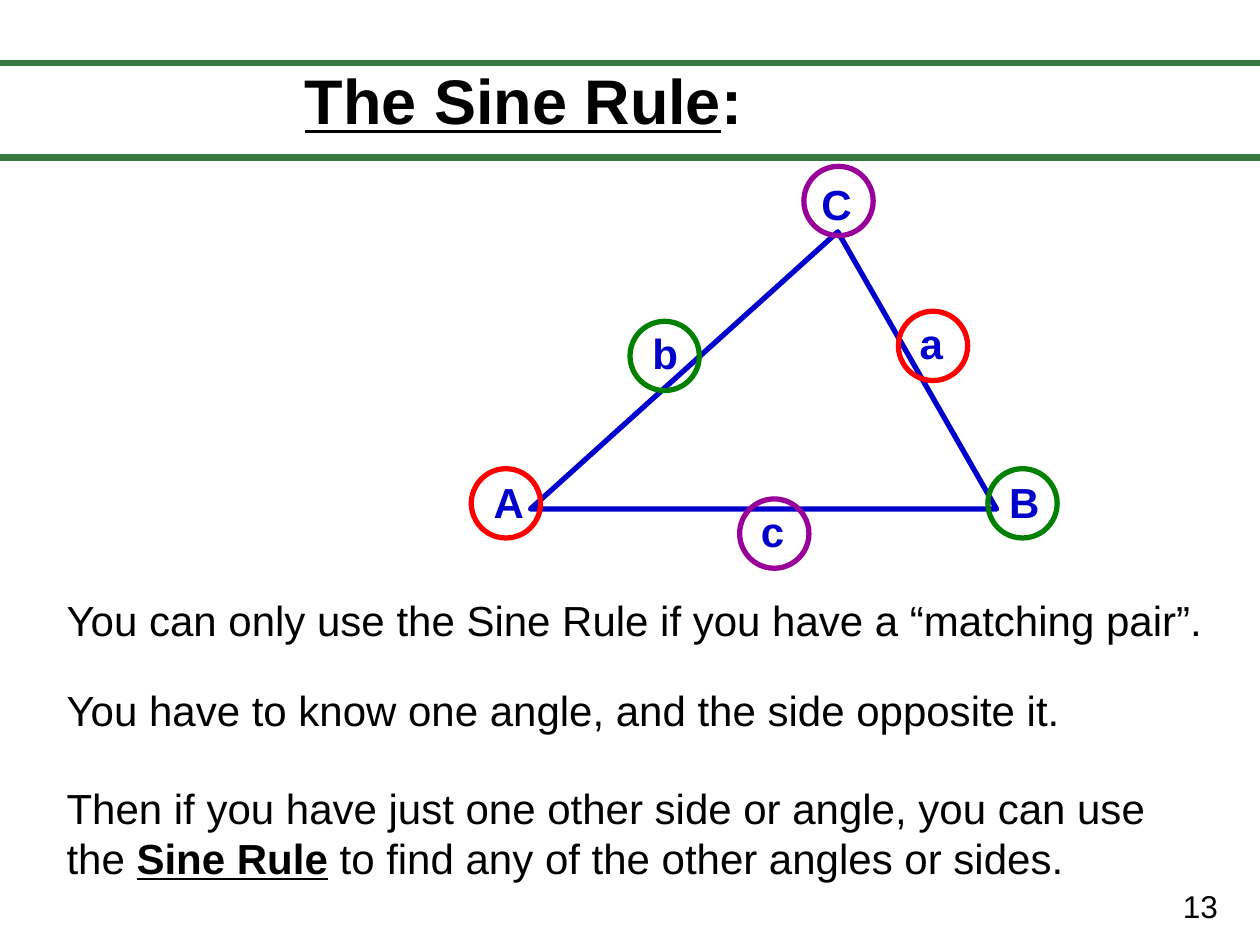
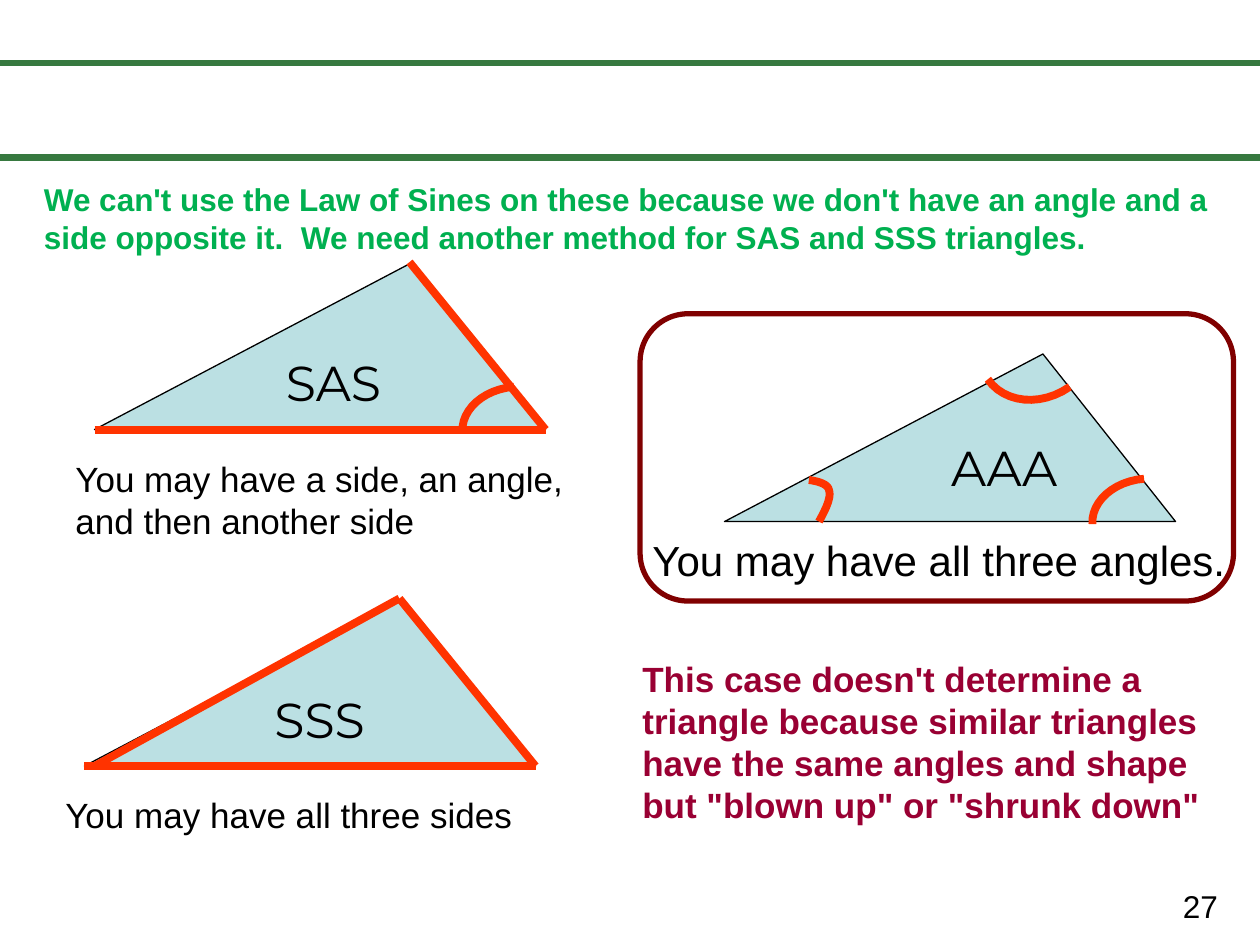
"""Builds two slides on when the Sine Rule can be used."""
from pptx import Presentation
from pptx.dml.color import RGBColor
from pptx.enum import shapes, text
from pptx.oxml.ns import qn
from pptx.util import Inches, Pt

WIDTH, HEIGHT = 10, 7.5
BLACK, BAND, BLUE, CORAL = "000000", "377940", "0000CC", "FF3300"
RED, GREEN, PURPLE = "FF0000", "008000", "990099"
PALE, MAROON, WINE, LEAF = "BBE0E3", "800000", "990033", "00B050"
BAND_TOPS = (HEIGHT / 15, HEIGHT / 6)

TITLE = [("The Sine Rule", "bu"), (":", "b")]
CORNERS = [(4.21, 4.04), (7.91, 4.04), (6.65, 1.84)]
CIRCLE = 0.55
# letter, letter box position, circle position, circle colour
LETTERS = [
    ("A", (3.82, 3.73), (3.74, 3.72), RED),
    ("a", (7.2, 2.47), (7.13, 2.47), RED),
    ("B", (7.91, 3.73), (7.84, 3.72), GREEN),
    ("b", (5.08, 2.55), (5, 2.55), GREEN),
    ("C", (6.42, 1.37), (6.38, 1.32), PURPLE),
    ("c", (5.94, 3.96), (5.87, 3.96), PURPLE),
]
STATEMENTS = [
    (4.67, 0.5, [("You can only use the Sine Rule if you have a “matching pair”.", "")]),
    (5.38, 0.5, [("You have to know one angle, and the side opposite it.", "")]),
    (6.16, 0.9, [("Then if you have just one other side or angle, you can use the ", ""),
                 ("Sine Rule", "bu"),
                 (" to find any of the other angles or sides.", "")]),
]

TRIANGLE_W, TRIANGLE_H, APEX = 3.58, 1.33, 0.706
SIDES = {
    "base": ((0, TRIANGLE_H), (TRIANGLE_W, TRIANGLE_H)),
    "right": ((2.5, 0), (TRIANGLE_W, TRIANGLE_H)),
    "left": ((0.08, TRIANGLE_H), (2.5, 0)),
}
ANGLES = {
    "right": [(2.92, 1.35), (2.91, 1.17), (3.09, 1.01), (3.33, 0.99)],
    "top": [(2.74, 0.26), (2.51, 0.42), (2.22, 0.39), (2.09, 0.2)],
    "left": [(0.67, 1), (0.74, 1.01), (0.82, 1.03), (0.83, 1.08),
             (0.85, 1.14), (0.8, 1.24), (0.75, 1.33)],
}
CASES = [
    dict(name="SAS", at=(0.75, 2.08), name_offset=(1.42, 0.67),
         sides=["base", "right"], angles=["right"],
         caption="You may have a side, an angle, and then another side",
         caption_box=(-0.25, 1.5, 4.42, 0.77), size=20),
    dict(name="AAA", at=(5.75, 2.81), name_offset=(1.7, 0.61),
         sides=[], angles=["right", "top", "left"],
         caption="You may have all three angles.",
         caption_box=(-0.67, 1.38, 4.92, 0.5), size=24),
    dict(name="SSS", at=(0.67, 4.75), name_offset=(1.41, 0.67),
         sides=["base", "right", "left"], angles=[],
         caption="You may have all three sides",
         caption_box=(-0.25, 1.5, 4.42, 0.44), size=20),
]
REMARKS = [
    ("We can't use the Law of Sines on these because we don't have an angle and a side "
     "opposite it.  We need another method for SAS and SSS triangles.",
     (0.25, 1.38, 9.58, 0.71), 18, LEAF),
    ("This case doesn't determine a triangle because similar triangles have the same "
     "angles and shape but \"blown up\" or \"shrunk down\"",
     (5, 5.17, 5, 1.45), 20, WINE),
]
FRAME = (5.08, 2.49, 4.71, 2.28)


def rgb(colour):
    return RGBColor.from_string(colour)


def inches(values):
    return [Inches(value) for value in values]


def shifted(point, origin):
    return point[0] + origin[0], point[1] + origin[1]


def write(frame, pieces, size, colour=BLACK, font="Arial"):
    frame.word_wrap = True
    frame.auto_size = text.MSO_AUTO_SIZE.NONE
    frame.vertical_anchor = text.MSO_ANCHOR.TOP
    paragraph = frame.paragraphs[0]
    paragraph.alignment = text.PP_ALIGN.LEFT
    paragraph.font.name, paragraph.font.size = font, Pt(size)
    paragraph.font.color.rgb = rgb(colour)
    for words, style in pieces:
        run = paragraph.add_run()
        run.text = words
        run.font.bold = "b" in style
        run.font.underline = "u" in style


def add_text(slide, box, words, size, colour=BLACK, style="", font="Arial"):
    pieces = [(words, style)] if isinstance(words, str) else words
    write(slide.shapes.add_textbox(*inches(box)).text_frame, pieces, size, colour, font)


def paint(shape, line, weight, fill=None):
    shape.shadow.inherit = False
    if fill:
        shape.fill.solid()
        shape.fill.fore_color.rgb = rgb(fill)
    else:
        shape.fill.background()
    shape.line.color.rgb = rgb(line)
    shape.line.width = Pt(weight)


def add_outline(slide, points, line, weight, close):
    corners = [inches(point) for point in points]
    builder = slide.shapes.build_freeform(*corners[0])
    builder.add_line_segments(corners[1:], close=close)
    outline = builder.convert_to_shape()
    paint(outline, line, weight)
    return outline


def add_line(slide, start, end, colour, weight):
    line = slide.shapes.add_connector(
        shapes.MSO_CONNECTOR.STRAIGHT, *inches(start), *inches(end))
    line.line.color.rgb = rgb(colour)
    line.line.width = Pt(weight)
    properties = line._element.spPr
    properties.append(properties.makeelement(qn("a:effectLst"), {}))


def curve(controls, steps=12):
    points = [controls[0]]
    for first in range(0, len(controls) - 1, 3):
        bend = controls[first:first + 4]
        for step in range(1, steps + 1):
            t = step / steps
            weights = ((1 - t) ** 3, 3 * t * (1 - t) ** 2, 3 * t * t * (1 - t), t ** 3)
            points.append(tuple(sum(w * p[axis] for w, p in zip(weights, bend))
                                for axis in (0, 1)))
    return points


def start_slide(deck, layout, number):
    slide = deck.slides.add_slide(deck.slide_layouts[layout])
    add_text(slide, (9.29, 6.99, 0.71, 0.4), number, 18)
    for top in BAND_TOPS:
        add_line(slide, (0, top), (WIDTH, top), BAND, 4)
    return slide


def add_rule_slide(deck):
    slide = start_slide(deck, 5, "13")
    title = slide.shapes.title
    title.left, title.top, title.width, title.height = inches((2.32, 0.44, 5.04, 0.7))
    write(title.text_frame, TITLE, 36)
    triangle = add_outline(slide, CORNERS, BLUE, 3, True)
    outline = triangle.line._get_or_add_ln()
    outline.append(outline.makeelement(qn("a:round"), {}))
    for letter, letter_at, circle_at, colour in LETTERS:
        add_text(slide, (*letter_at, 0.55, 0.5), letter, 24, BLUE, "b")
        circle = slide.shapes.add_shape(
            shapes.MSO_SHAPE.OVAL, *inches((*circle_at, CIRCLE, CIRCLE)))
        paint(circle, colour, 3)
    for top, height, pieces in STATEMENTS:
        add_text(slide, (0.43, top, 9.29, height), pieces, 24)


def add_case(slide, case):
    origin = case["at"]
    triangle = slide.shapes.add_shape(
        shapes.MSO_SHAPE.ISOSCELES_TRIANGLE, *inches((*origin, TRIANGLE_W, TRIANGLE_H)))
    triangle.adjustments[0] = APEX
    paint(triangle, BLACK, 0.75, PALE)
    for side in case["sides"]:
        start, end = (shifted(point, origin) for point in SIDES[side])
        add_line(slide, start, end, CORAL, 4.5)
    for angle in case["angles"]:
        arc = [shifted(point, origin) for point in curve(ANGLES[angle])]
        add_outline(slide, arc, CORAL, 4.5, False)
    add_text(slide, (*shifted(case["name_offset"], origin), 1.25, 0.57),
             case["name"], 28, font="Montserrat")
    left, top, width, height = case["caption_box"]
    add_text(slide, (*shifted((left, top), origin), width, height),
             case["caption"], case["size"])


def add_cases_slide(deck):
    slide = start_slide(deck, 6, "27")
    for case in CASES:
        add_case(slide, case)
    for words, box, size, colour in REMARKS:
        add_text(slide, box, words, size, colour, "b")
    frame = slide.shapes.add_shape(shapes.MSO_SHAPE.ROUNDED_RECTANGLE, *inches(FRAME))
    paint(frame, MAROON, 3)


def main():
    deck = Presentation()
    deck.slide_width, deck.slide_height = inches((WIDTH, HEIGHT))
    add_rule_slide(deck)
    add_cases_slide(deck)
    deck.save("out.pptx")


if __name__ == "__main__":
    main()
